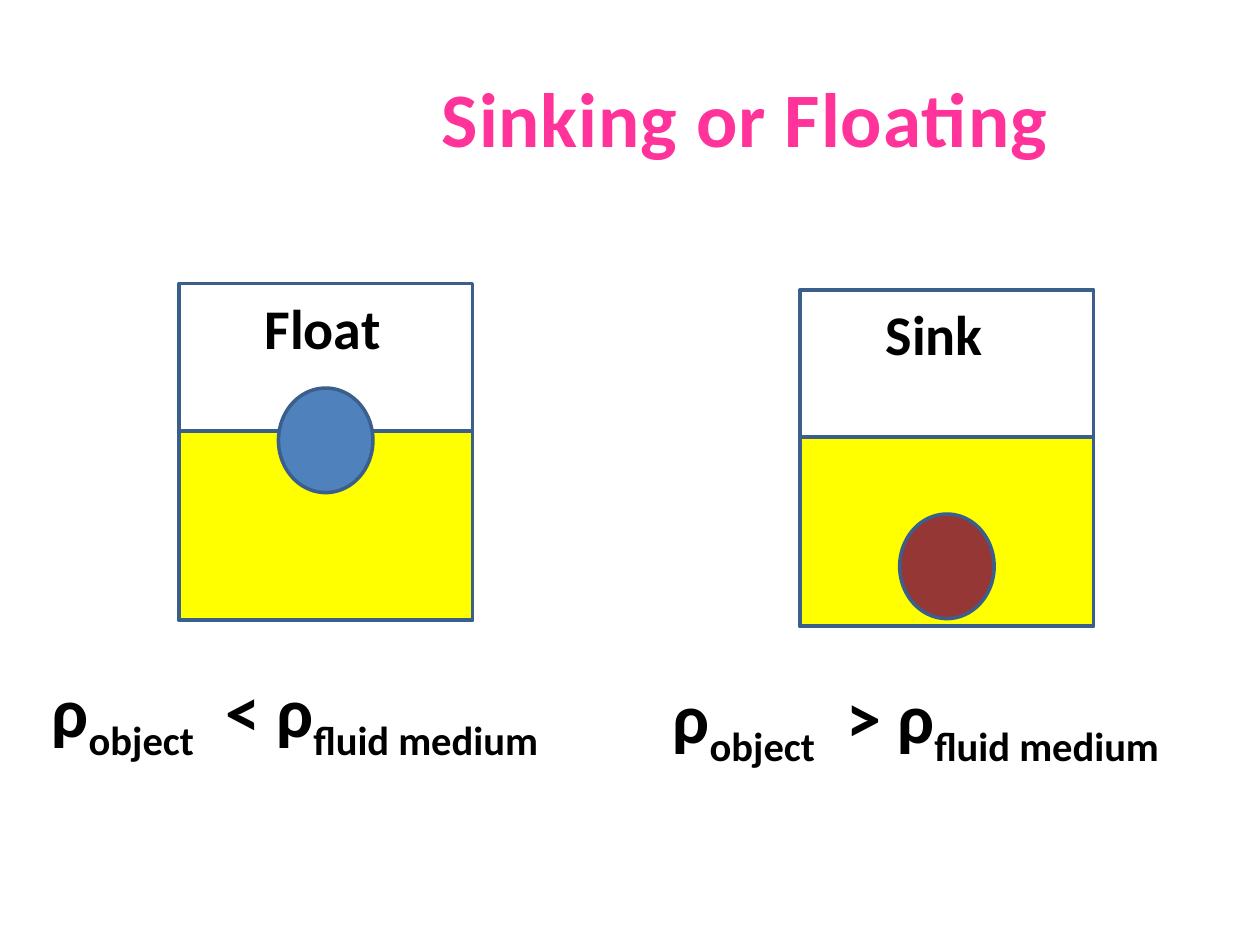
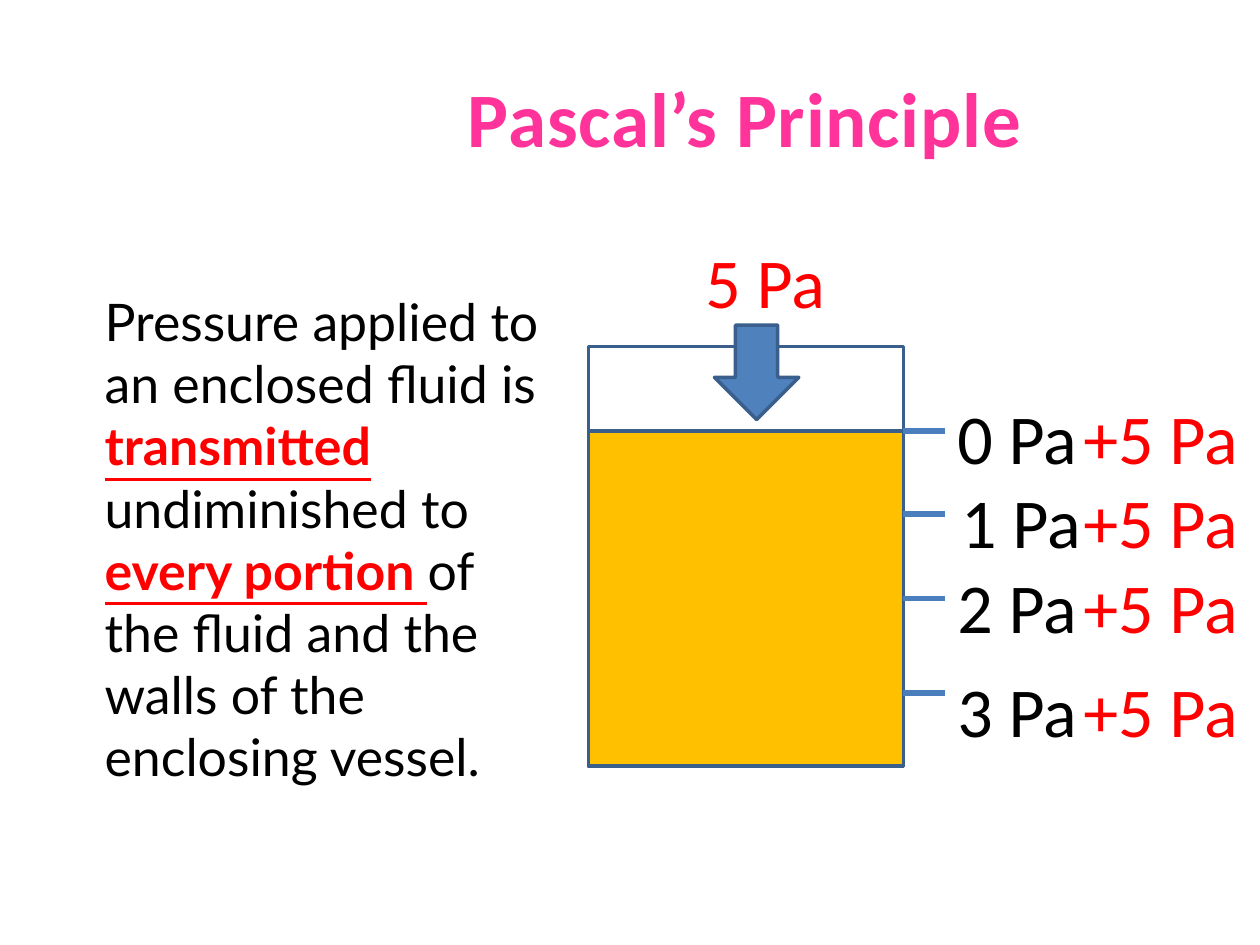
from lxml import etree
from pptx import Presentation
from pptx.dml.color import RGBColor
from pptx.enum.shapes import MSO_CONNECTOR, MSO_SHAPE
from pptx.enum.text import MSO_ANCHOR, MSO_AUTO_SIZE, PP_ALIGN
from pptx.oxml.ns import qn
from pptx.util import Inches, Pt

RECTANGLE, OVAL, DOWN_ARROW = MSO_SHAPE.RECTANGLE, MSO_SHAPE.OVAL, MSO_SHAPE.DOWN_ARROW
STRAIGHT = MSO_CONNECTOR.STRAIGHT
TOP, MIDDLE = MSO_ANCHOR.TOP, MSO_ANCHOR.MIDDLE
LEFT, CENTER = PP_ALIGN.LEFT, PP_ALIGN.CENTER
NO_FIT = MSO_AUTO_SIZE.NONE
RIGHT_SIDE = 3

BLACK = RGBColor(0x00, 0x00, 0x00)
WHITE = RGBColor(0xFF, 0xFF, 0xFF)
RED = RGBColor(0xFF, 0x00, 0x00)
PINK = RGBColor(0xFF, 0x33, 0x99)
YELLOW = RGBColor(0xFF, 0xFF, 0x00)
AMBER = RGBColor(0xFF, 0xC0, 0x00)
BLUE = RGBColor(0x4F, 0x81, 0xBD)
MAROON = RGBColor(0x95, 0x37, 0x35)
OUTLINE = RGBColor(0x3A, 0x5F, 0x8C)
TICK_BLUE = RGBColor(0x4B, 0x7E, 0xBC)

# Content: lengths in inches
FLOATING_TITLE = "Sinking or Floating"
# label, sign, tank left, tank top, ball depth below tank top, ball colour
CASES = [
    ("Float", "<", 1.42, 2.25, 0.83, BLUE),
    ("Sink", ">", 6.35, 2.3, 1.78, MAROON),
]

PASCAL_TITLE = "Pascal’s Principle"
STRONG = {"color": RED, "bold": True, "underline": True}
PRINCIPLE = [
    ("Pressure applied to an enclosed fluid is ", {}),
    ("transmitted", STRONG),
    (" undiminished to ", {}),
    ("every portion ", STRONG),
    ("of the fluid and the walls of the enclosing vessel.", {}),
]
APPLIED = "5 Pa"
# pressure, tick height, label left, label top
DEPTHS = [
    ("0 Pa", 3.42, 7.5, 3.08),
    ("1 Pa", 4.08, 7.53, 3.75),
    ("2 Pa", 4.75, 7.5, 4.42),
    ("3 Pa", 5.5, 7.5, 5.25),
]


def place(item, left, top, width, height):
    item.left, item.top = Inches(left), Inches(top)
    item.width, item.height = Inches(width), Inches(height)


def write(box, spans, size, name="Calibri", align=LEFT, anchor=TOP, before=0.2):
    """Fill a box with one paragraph of (text, style) spans."""
    frame = box.text_frame
    frame.word_wrap = True
    frame.auto_size = NO_FIT
    frame.vertical_anchor = anchor
    para = frame.paragraphs[0]
    para.alignment = align
    para.space_before = Pt(size * before)
    for text, style in spans:
        span = para.add_run()
        span.text = text
        span.font.name, span.font.size = name, Pt(size)
        span.font.color.rgb = style.get("color", BLACK)
        span.font.bold = style.get("bold", False)
        span.font.underline = style.get("underline", False)
        for key in ("baseline", "spc"):
            if key in style:
                span._r.get_or_add_rPr().set(key, str(style[key]))
    return para


def add_text(page, area, spans, size):
    box = page.shapes.add_textbox(*map(Inches, area))
    write(box, spans, size)


def add_solid(page, kind, area, color):
    shape = page.shapes.add_shape(kind, *map(Inches, area))
    shape.shadow.inherit = False
    shape.fill.solid()
    shape.fill.fore_color.rgb = color
    shape.line.color.rgb = OUTLINE
    shape.line.width = Pt(2)
    return shape


def add_tank(page, left, top, width, height, surface, color):
    """Draw a vessel and return the fluid that fills it below the surface."""
    add_solid(page, RECTANGLE, (left, top, width, height), WHITE)
    return add_solid(page, RECTANGLE, (left, top + surface, width, height - surface), color)


def add_page(deck, title):
    page = deck.slides.add_slide(deck.slide_layouts[1])
    heading = page.shapes.title
    place(heading, 2.33, 0.3, 7.17, 1.25)
    write(heading, [(title, {"color": PINK, "bold": True, "spc": 50})], 44,
          align=CENTER, anchor=MIDDLE, before=0)
    return page


def write_body(page, area, spans, size, name="Calibri", margin=0):
    body = page.placeholders[1]
    place(body, *area)
    settings = write(body, spans, size, name)._p.get_or_add_pPr()
    settings.set("marL", str(Inches(margin)))
    settings.set("indent", "0")
    etree.SubElement(settings, qn("a:buNone"))


def density_rule(sign):
    bold, low = {"bold": True}, {"bold": True, "baseline": -25000}
    wide = {"bold": True, "spc": 900}
    return [("ρ", bold), ("object", low), (" ", wide),
            (f"{sign} ρ", bold), ("fluid medium", low)]


def build_floating(deck):
    page = add_page(deck, FLOATING_TITLE)
    tank_width, tank_height, ball_width = 2.33, 2.67, 0.75
    for index, (label, sign, left, top, depth, color) in enumerate(CASES):
        # Density comparison under the tank
        area = (left - 1.11, top + 3, 4.67, 0.7)
        if index == 0:
            write_body(page, area, density_rule(sign), 40)
        else:
            add_text(page, area, density_rule(sign), 40)
        # Tank, ball and label
        add_tank(page, left, top, tank_width, tank_height, 1.17, YELLOW)
        ball_left = left + (tank_width - ball_width) / 2
        add_solid(page, OVAL, (ball_left, top + depth, ball_width, 0.83), color)
        add_text(page, (left + 0.58, top + 0.03, 1.29, 0.7), [(label, {"bold": True})], 32)


def build_pascal(deck):
    page = add_page(deck, PASCAL_TITLE)
    write_body(page, (0.33, 2.25, 4.08, 4.75), PRINCIPLE, 29.6, "Lato", 0.4)
    fluid = add_tank(page, 4.67, 2.75, 2.5, 3.33, 0.67, AMBER)
    fluid_middle = fluid.top + fluid.height / 2

    # Pressure at each depth, before and after the push
    for pressure, height, left, top in DEPTHS:
        tick = page.shapes.add_connector(
            STRAIGHT, Inches(7.17), Inches(height), Inches(7.5), Inches(height))
        tick.line.color.rgb = TICK_BLUE
        tick.line.width = Pt(3)
        etree.SubElement(tick._element.spPr, qn("a:effectLst"))
        if abs(Inches(height) - fluid_middle) < Inches(0.01):
            tick.begin_connect(fluid, RIGHT_SIDE)
        add_text(page, (left, top, 8.83 - left, 0.75), [(pressure, {})], 40)
        add_text(page, (8.5, top, 1.58, 0.58), [("+" + APPLIED, {"color": RED})], 40)

    # Applied pressure
    add_solid(page, DOWN_ARROW, (5.67, 2.58, 0.67, 0.75), BLUE)
    add_text(page, (5.5, 1.84, 1.58, 0.58), [(APPLIED, {"color": RED})], 40)


def main():
    deck = Presentation()
    deck.slide_width, deck.slide_height = Inches(10), Inches(7.5)
    build_floating(deck)
    build_pascal(deck)
    deck.save("out.pptx")


if __name__ == "__main__":
    main()
